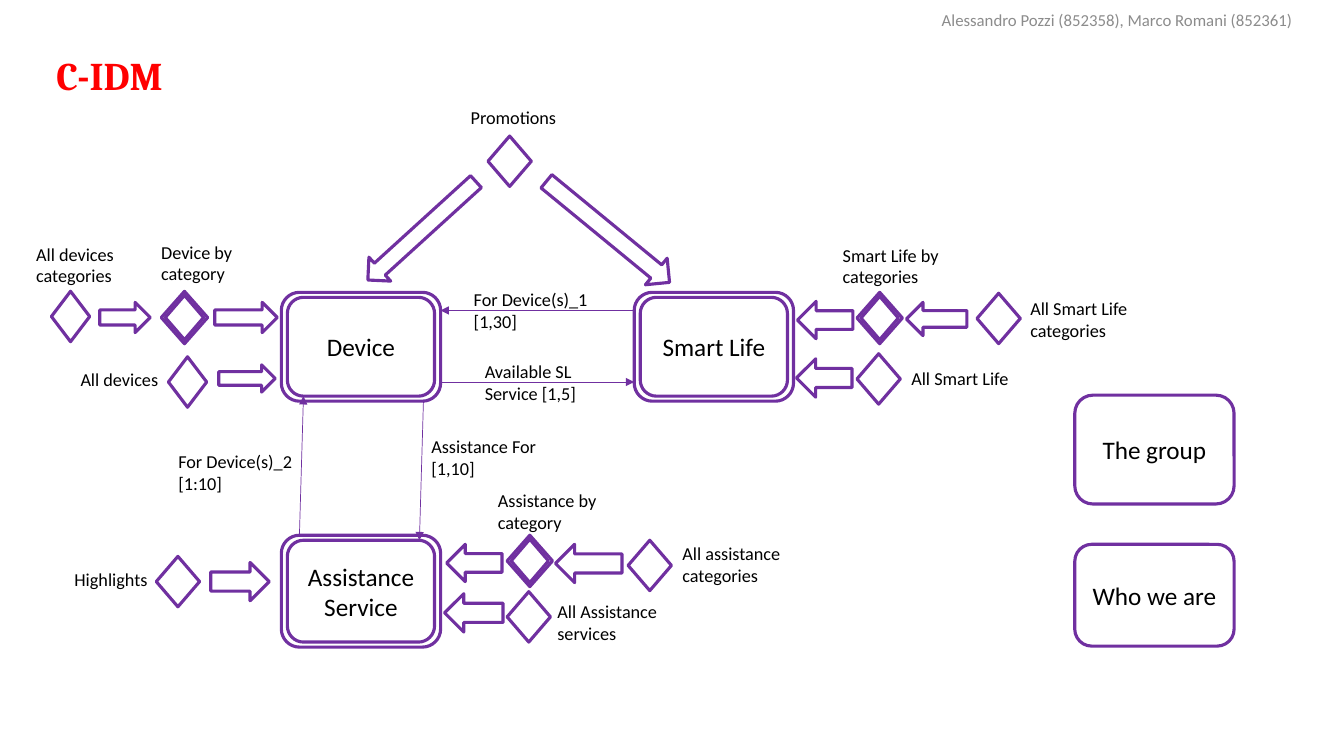
from dataclasses import dataclass

from lxml import etree
from pptx import Presentation
from pptx.dml.color import RGBColor
from pptx.enum.shapes import MSO_CONNECTOR, MSO_SHAPE
from pptx.enum.text import MSO_ANCHOR, MSO_AUTO_SIZE, PP_ALIGN
from pptx.oxml.ns import qn
from pptx.util import Inches, Pt

ARROW, DIAMOND, ROUNDED = MSO_SHAPE.RIGHT_ARROW, MSO_SHAPE.DIAMOND, MSO_SHAPE.ROUNDED_RECTANGLE
STRAIGHT = MSO_CONNECTOR.STRAIGHT
LEFT, CENTER = PP_ALIGN.LEFT, PP_ALIGN.CENTER
TOP, MIDDLE = MSO_ANCHOR.TOP, MSO_ANCHOR.MIDDLE
NO_AUTOFIT = MSO_AUTO_SIZE.NONE
TITLE_ONLY = 5
Points = list[tuple[float, float]]


@dataclass(frozen=True)
class Theme:
    purple: RGBColor = RGBColor(0x70, 0x30, 0xA0)
    white: RGBColor = RGBColor(255, 255, 255)
    black: RGBColor = RGBColor(0, 0, 0)
    red: RGBColor = RGBColor(255, 0, 0)
    gray: RGBColor = RGBColor(0x8C, 0x8C, 0x8C)
    body_font: str = "Calibri"
    title_font: str = "Cambria"
    title_size: int = 28
    topic_size: int = 18
    label_size: int = 13
    header_size: int = 12
    outline: float = 2.25
    thin: float = 0.5


THEME = Theme()


@dataclass(frozen=True)
class Box:
    left: float
    top: float
    width: float
    height: float

    def lengths(self) -> list:
        return [Inches(v) for v in (self.left, self.top, self.width, self.height)]

    def inset(self, x: float, y: float) -> "Box":
        return Box(self.left + x, self.top + y, self.width - 2 * x, self.height - 2 * y)


@dataclass(frozen=True)
class Topic:
    text: str
    box: Box


@dataclass(frozen=True)
class Label:
    text: str
    left: float
    top: float
    width: float = 1.35
    height: float = 0.54
    wrap: bool = True


@dataclass(frozen=True)
class Arrow:
    box: Box
    flipped: bool = False
    rotation: float = 0


@dataclass(frozen=True)
class Relation:
    x1: float
    y1: float
    x2: float
    y2: float


MULTIPLE_TOPICS = [
    Topic("Device", Box(2.79, 2.9, 1.58, 1.08)),
    Topic("Smart Life", Box(6.29, 2.9, 1.58, 1.08)),
    Topic("Assistance Service", Box(2.79, 5.31, 1.58, 1.11)),
]
SINGLE_TOPICS = [
    Topic("The group", Box(10.66, 3.92, 1.58, 1.08)),
    Topic("Who we are", Box(10.66, 5.4, 1.58, 1.01)),
]
RELATIONS = [
    Relation(4.37, 3.79, 6.29, 3.79),
    Relation(6.29, 3.08, 4.37, 3.08),
    Relation(4.2, 3.97, 4.16, 5.36),
    Relation(2.97, 5.31, 3.01, 3.93),
]
DOUBLE_DIAMONDS = [Box(8.5, 2.9, 0.45, 0.51), Box(1.6, 2.89, 0.46, 0.52), Box(5.03, 5.31, 0.45, 0.51)]
DEVICE_DIAMONDS = [(1.67, 3.54), (0.51, 2.89)]
GROUP_DIAMONDS = [(8.5, 3.51), (5.03, 5.87), (6.23, 5.36), (9.69, 2.91), (4.84, 1.35), (1.55, 5.52)]
DIAMONDS = ([Box(x, y, 0.38, 0.5) for x, y in DEVICE_DIAMONDS]
            + [Box(x, y, 0.43, 0.5) for x, y in GROUP_DIAMONDS])
ARROWS = [
    Arrow(Box(5.24, 2.13, 1.58, 0.34), rotation=39.4),
    Arrow(Box(3.46, 2.13, 1.45, 0.32), True, 317.7),
    Arrow(Box(2.13, 3, 0.62, 0.3)),
    Arrow(Box(2.17, 3.62, 0.56, 0.27)),
    Arrow(Box(0.99, 3, 0.5, 0.3)),
    Arrow(Box(2.09, 5.58, 0.58, 0.38)),
    Arrow(Box(4.43, 5.4, 0.55, 0.37), True),
    Arrow(Box(7.91, 2.99, 0.55, 0.37), True),
    Arrow(Box(7.9, 3.56, 0.55, 0.38), True),
    Arrow(Box(4.41, 5.89, 0.58, 0.38), True),
    Arrow(Box(8.99, 3, 0.6, 0.33), True),
    Arrow(Box(5.51, 5.4, 0.66, 0.38), True),
]
LABELS = [
    Label("Available SL\nService [1,5]", 4.71, 3.53, 1.12, wrap=False),
    Label("For Device(s)_1 [1,30]", 4.6, 2.81),
    Label("Assistance For\n[1,10]", 4.18, 4.27),
    Label("For Device(s)_2\n[1:10]", 1.67, 4.42),
    Label("All devices categories", 0.26, 2.36),
    Label("All devices", 0.7, 3.6, height=0.32),
    Label("Device by category", 1.5, 2.34),
    Label("All assistance categories", 6.67, 5.33),
    Label("Assistance by category", 4.84, 4.81),
    Label("Promotions", 4.57, 1.01, height=0.32),
    Label("Highlights", 0.64, 5.59, height=0.32),
    Label("All Assistance services", 5.43, 5.91),
    Label("All Smart Life", 8.94, 3.59, height=0.32),
    Label("Smart Life by categories", 8.26, 2.37),
    Label("All Smart Life categories", 10.12, 2.9),
]


def write(shape, text: str, size: float, color: RGBColor, font: str = THEME.body_font,
          align=LEFT, anchor=TOP, bold: bool = False, wrap: bool = True) -> None:
    frame = shape.text_frame
    frame.text = text
    frame.word_wrap, frame.vertical_anchor, frame.auto_size = wrap, anchor, NO_AUTOFIT
    for paragraph in frame.paragraphs:
        paragraph.alignment = align
        for run in paragraph.runs:
            run.font.size, run.font.name, run.font.bold = Pt(size), font, bold
            run.font.color.rgb = color


def outline(shape) -> None:
    shape.shadow.inherit = False
    shape.fill.solid()
    shape.fill.fore_color.rgb = THEME.white
    shape.line.color.rgb = THEME.purple
    shape.line.width = Pt(THEME.outline)


def add_preset(slide, kind, box: Box):
    shape = slide.shapes.add_shape(kind, *box.lengths())
    outline(shape)
    return shape


def rounded_points(box: Box, radius: float) -> Points:
    """Four points a corner: curve start, two control points, curve end."""
    left, top, right, bottom = box.left, box.top, box.left + box.width, box.top + box.height
    near = 0.45 * radius
    points = []
    for x, y, sx, sy in [(left, top, 1, 1), (left, bottom, 1, -1),
                         (right, bottom, -1, -1), (right, top, -1, 1)]:
        corner = [(x + sx * radius, y), (x + sx * near, y), (x, y + sy * near), (x, y + sy * radius)]
        points += corner if sx == sy else corner[::-1]
    return points


def diamond_points(box: Box) -> Points:
    x, y = box.left + box.width / 2, box.top + box.height / 2
    return [(x, box.top), (box.left + box.width, y), (x, box.top + box.height), (box.left, y)]


def add_double_outline(slide, *contours: Points):
    inner, outer = [[(Inches(x), Inches(y)) for x, y in points] for points in contours]
    builder = slide.shapes.build_freeform(*inner[0])
    builder.add_line_segments(inner[1:], close=True)
    builder.move_to(*outer[0])
    builder.add_line_segments(outer[1:], close=True)
    shape = builder.convert_to_shape()
    outline(shape)
    return shape


def curve_corners(shape) -> None:
    for start in list(shape._element.iter(qn("a:moveTo"))):
        segments = list(start.itersiblings(qn("a:lnTo")))[:15]
        for first in range(0, 15, 4):
            controls = segments[first:first + 3]
            curve = etree.Element(qn("a:cubicBezTo"))
            controls[0].addprevious(curve)
            for segment in controls:
                curve.append(segment[0])
                segment.getparent().remove(segment)


def add_relation(slide, relation: Relation) -> None:
    ends = (relation.x1, relation.y1, relation.x2, relation.y2)
    line = slide.shapes.add_connector(STRAIGHT, *[Inches(v) for v in ends])
    line.line.color.rgb = THEME.purple
    line.line.width = Pt(THEME.thin)
    etree.SubElement(line.line._get_or_add_ln(), qn("a:tailEnd"), type="triangle")
    etree.SubElement(line._element.spPr, qn("a:effectLst"))


def main() -> None:
    presentation = Presentation()
    presentation.slide_width, presentation.slide_height = Inches(13.33), Inches(7.5)
    slide = presentation.slides.add_slide(presentation.slide_layouts[TITLE_ONLY])
    # Title and authors
    title = slide.shapes.title
    title.left, title.top, title.width, title.height = Box(0.46, 0.46, 1.73, 0.57).lengths()
    write(title, "C-IDM", THEME.title_size, THEME.red, THEME.title_font, bold=True)
    authors = slide.shapes.add_textbox(*Box(8.83, 0, 4.5, 0.4).lengths())
    write(authors, "Alessandro Pozzi (852358), Marco Romani (852361)",
          THEME.header_size, THEME.gray, align=CENTER, anchor=MIDDLE)
    # Topics
    topics = [(add_preset(slide, ROUNDED, topic.box), topic.text) for topic in SINGLE_TOPICS]
    for topic in MULTIPLE_TOPICS:
        inner = rounded_points(topic.box.inset(0.06, 0.05), 0.16)
        frame = add_double_outline(slide, inner, rounded_points(topic.box, 0.18))
        curve_corners(frame)
        topics.append((frame, topic.text))
    for shape, text in topics:
        write(shape, text, THEME.topic_size, THEME.black, align=CENTER, anchor=MIDDLE)
    # Relations and groups
    for relation in RELATIONS:
        add_relation(slide, relation)
    for box in DOUBLE_DIAMONDS:
        add_double_outline(slide, diamond_points(box.inset(0.04, 0.04)), diamond_points(box))
    for box in DIAMONDS:
        add_preset(slide, DIAMOND, box)
    for arrow in ARROWS:
        shape = add_preset(slide, ARROW, arrow.box)
        shape.rotation = arrow.rotation
        if arrow.flipped:
            shape._element.spPr.find(qn("a:xfrm")).set("flipH", "1")
    # Labels
    for label in LABELS:
        box = Box(label.left, label.top, label.width, label.height)
        shape = slide.shapes.add_textbox(*box.lengths())
        write(shape, label.text, THEME.label_size, THEME.black, wrap=label.wrap)
    presentation.save("out.pptx")


if __name__ == "__main__":
    main()
